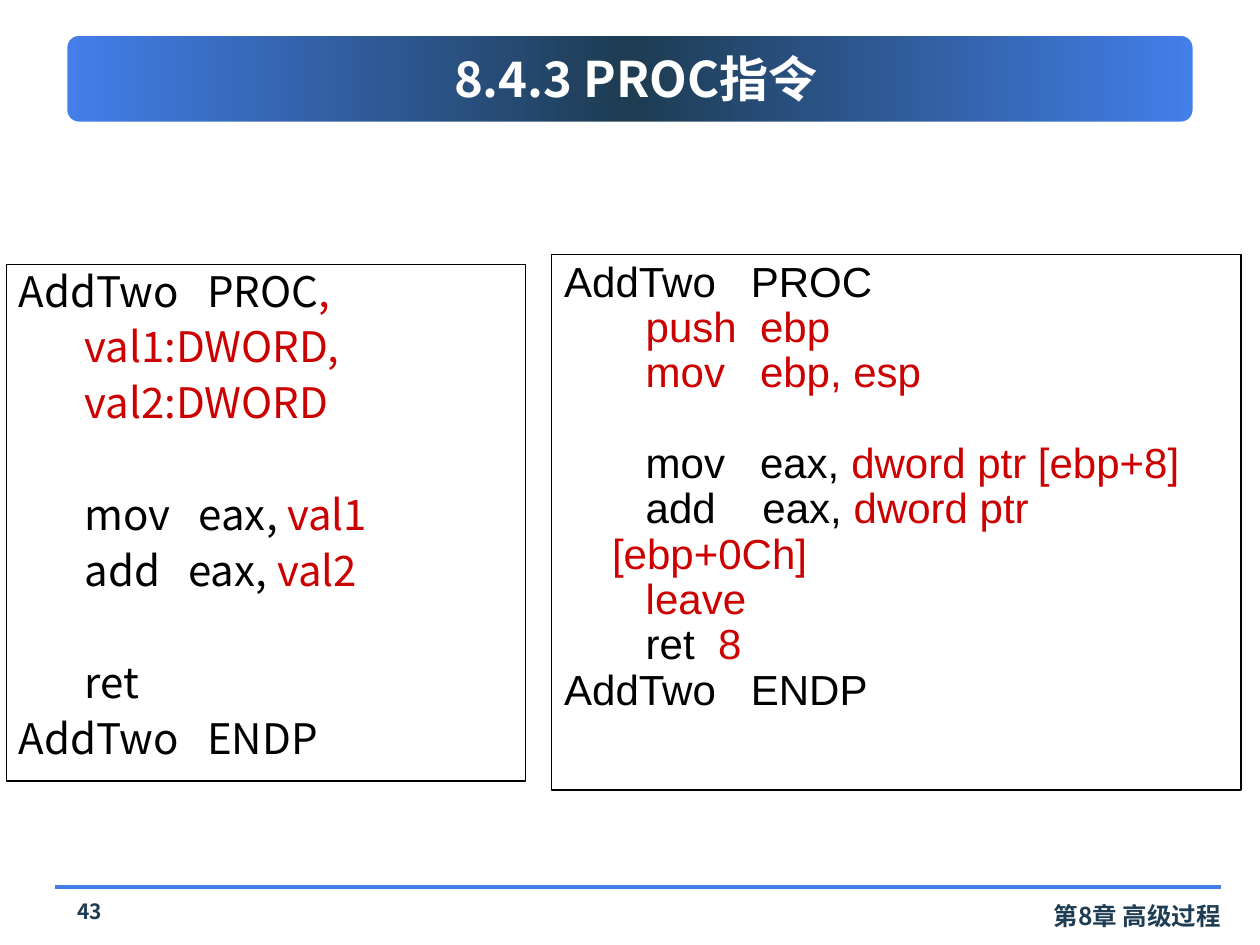
from pptx import Presentation
from pptx.dml.color import RGBColor
from pptx.enum import dml, shapes, text
from pptx.oxml import ns
from pptx.util import Inches, Pt
from lxml import etree

BLACK = RGBColor(0x00, 0x00, 0x00)
WHITE = RGBColor(0xFF, 0xFF, 0xFF)
RED = RGBColor(0xCC, 0x00, 0x00)
BLUE = RGBColor(0x43, 0x7F, 0xEB)
NAVY = RGBColor(0x1E, 0x3C, 0x52)
SANS = "Noto Sans CJK SC"
INDENT = "       "

LABELS = [
    ("第8章 高级过程", (7.42, 7.1, 2.37, 0.34), 14, NAVY, text.PP_ALIGN.RIGHT),
    ("8.4.3 PROC指令", (0.67, 0.28, 8.75, 0.67), 28, WHITE, text.PP_ALIGN.CENTER),
    ("43", (0.42, 7.08, 0.58, 0.33), 12, NAVY, text.PP_ALIGN.CENTER),
]

SOURCE_CODE = [
    [("AddTwo   PROC", BLACK), (",", RED)],
    [(INDENT + "val1:DWORD,", RED)],
    [(INDENT + "val2:DWORD", RED)],
    [],
    [(INDENT + "mov   eax, ", BLACK), ("val1", RED)],
    [(INDENT + "add   eax, ", BLACK), ("val2", RED)],
    [],
    [(INDENT + "ret", BLACK)],
    [("AddTwo   ENDP", BLACK)],
]
GENERATED_CODE = [
    [("AddTwo   PROC", BLACK)],
    [(INDENT + "push  ebp", RED)],
    [(INDENT + "mov   ebp, esp", RED)],
    [],
    [(INDENT + "mov   eax, ", BLACK), ("dword ptr [ebp+8]", RED)],
    [(INDENT + "add    eax, ", BLACK), ("dword ptr [ebp+0Ch]", RED)],
    [(INDENT + "leave", RED)],
    [(INDENT + "ret  ", BLACK), ("8", RED)],
    [("AddTwo   ENDP", BLACK)],
]
LISTINGS = [
    (SOURCE_CODE, (0.05, 2.1, 4.12, 4.1), SANS, 6, 32),
    (GENERATED_CODE, (4.38, 2.02, 5.47, 4.25), "Arial", 0, 26),
]


def style(span, size, font, color, bold=False):
    span.font.size = Pt(size)
    span.font.name = font
    span.font.bold = bold
    span.font.color.rgb = color
    east_asian = etree.SubElement(span.font._element, ns.qn("a:ea"))
    east_asian.set("typeface", font)


def add_banner(page):
    banner = page.shapes.add_shape(
        shapes.MSO_SHAPE.ROUNDED_RECTANGLE, *map(Inches, (0.5, 0.25, 9, 0.75)))
    banner.shadow.inherit = False
    banner.line.color.rgb = WHITE
    banner.line.width = Pt(5)
    banner.fill.gradient()
    banner.fill.gradient_angle = 0
    stops = banner.fill._fill._gradFill.find(ns.qn("a:gsLst"))
    for stop in list(stops):
        stops.remove(stop)
    for position, color in ((0, BLUE), (50, NAVY), (100, BLUE)):
        stop = etree.SubElement(stops, ns.qn("a:gs"), pos=str(position * 1000))
        etree.SubElement(stop, ns.qn("a:srgbClr"), val=str(color))


def add_rule(page):
    rule = page.shapes.add_connector(
        shapes.MSO_CONNECTOR.STRAIGHT, *map(Inches, (0.44, 7.04, 9.69, 7.04)))
    rule.line.color.rgb = BLUE
    rule.line.width = Pt(2)
    etree.SubElement(rule._element.spPr, ns.qn("a:effectLst"))


def add_label(page, wording, place, size, color, align):
    box = page.shapes.add_textbox(*map(Inches, place))
    frame = box.text_frame
    frame.word_wrap = True
    if color == WHITE:
        frame.vertical_anchor = text.MSO_ANCHOR.MIDDLE
    frame.text = wording
    para = frame.paragraphs[0]
    para.alignment = align
    style(para.runs[0], size, SANS, color, True)


def add_listing(page, lines, place, font, gap, blank_height):
    box = page.shapes.add_shape(shapes.MSO_SHAPE.RECTANGLE, *map(Inches, place))
    box.shadow.inherit = False
    box.fill.solid()
    box.fill.fore_color.rgb = WHITE
    box.line.color.rgb = BLACK
    box.line.width = Pt(0.75)
    frame = box.text_frame
    frame.word_wrap = True
    frame.vertical_anchor = text.MSO_ANCHOR.TOP
    for number, line in enumerate(lines):
        if not line:
            continue
        para = frame.add_paragraph() if number else frame.paragraphs[0]
        para.alignment = text.PP_ALIGN.LEFT
        para.line_spacing = 0.9
        after_blank = number and not lines[number - 1]
        before = gap + blank_height if after_blank else gap
        para.space_before = Pt(before if number else 0)
        para._p.get_or_add_pPr().set("marL", str(Inches(0.38)))
        para._p.get_or_add_pPr().set("indent", str(Inches(-0.38)))
        for wording, color in line:
            span = para.add_run()
            span.text = wording
            style(span, 24, font, color)


deck = Presentation()
deck.slide_width, deck.slide_height = Inches(10), Inches(7.5)
page = deck.slides.add_slide(deck.slide_layouts[6])
add_banner(page)
add_rule(page)
for label in LABELS:
    add_label(page, *label)
for listing in LISTINGS:
    add_listing(page, *listing)
deck.save("out.pptx")
